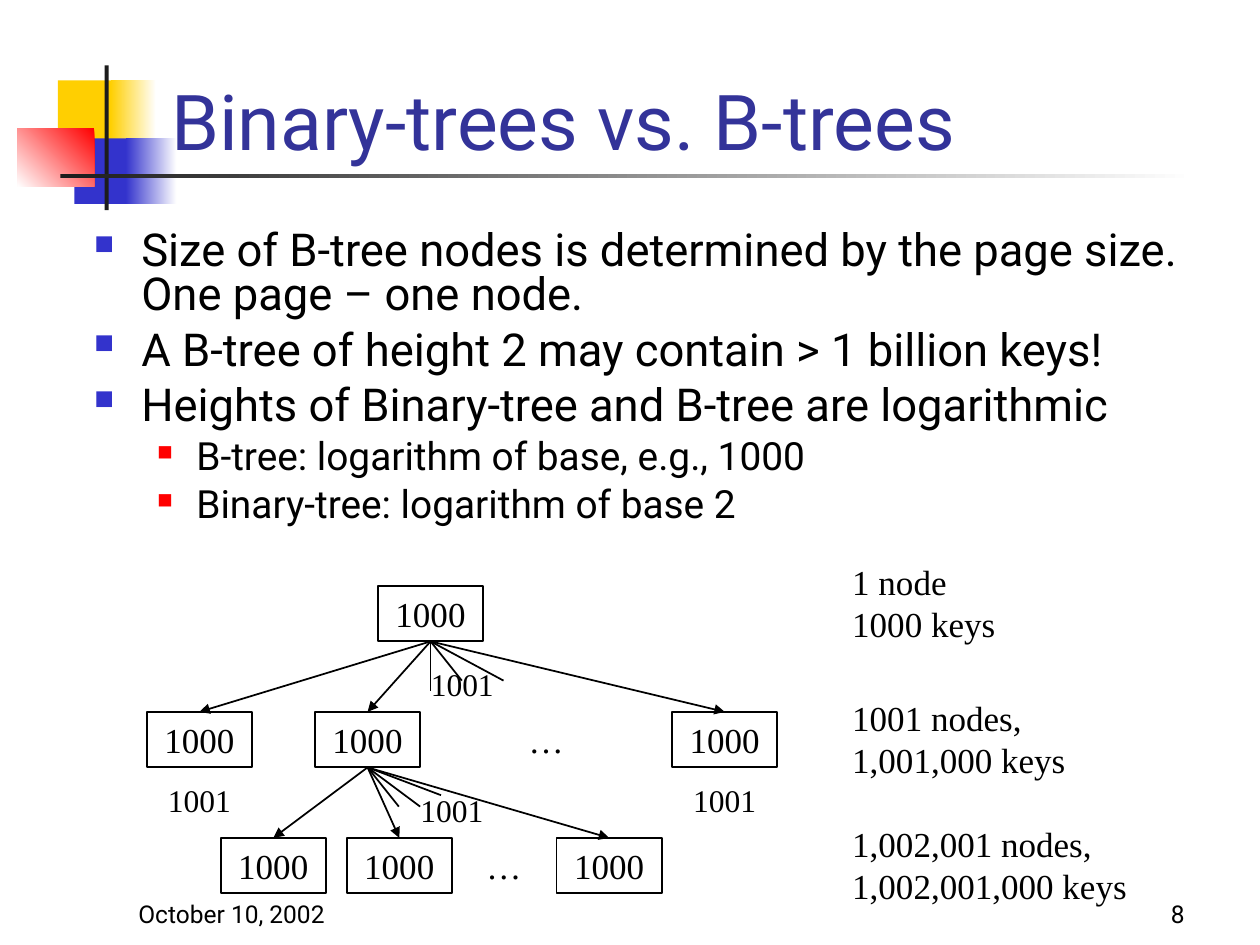
from dataclasses import dataclass

from lxml.etree import SubElement
from pptx import Presentation
from pptx.dml.color import RGBColor
from pptx.enum.shapes import MSO_CONNECTOR, MSO_SHAPE
from pptx.enum.text import MSO_ANCHOR, PP_ALIGN
from pptx.oxml.ns import qn
from pptx.util import Cm, Pt


@dataclass(frozen=True)
class Theme:
    sans: str = "Roboto"
    serif: str = "Times New Roman"
    ink: str = "000000"
    paper: str = "FFFFFF"
    title: str = "333399"
    yellow: str = "FFCF01"
    blue: str = "3333CC"
    red: str = "FF0000"
    rule: str = "1C1C1C"
    title_size: float = 44
    point_size: float = 25.9
    subpoint_size: float = 22.2
    node_size: float = 20
    fanout_size: float = 18
    footer_size: float = 14


THEME = Theme()
NODE_W, NODE_H = 2.12, 1.12
ROOT_TOP, LEVEL_STEP = 11.81, 2.54
ROOT_LEFT = 7.62
INNER_LEFTS = (2.96, 6.35, 13.55)
LEAF_LEFTS = (4.45, 6.99, 11.22)
# Ends of the short unfinished branches, relative to the parent's bottom middle
ROOT_STUBS = ((0, 0.99), (0.63, 0.79), (1.47, 0.79))
INNER_STUBS = ((0.63, 0.79), (1.06, 0.79), (1.48, 0.56))

POINTS = (
    (0, "Size of B-tree nodes is determined by the page size. One page – one node."),
    (0, "A B-tree of height 2 may contain > 1 billion keys!"),
    (0, "Heights of Binary-tree and B-tree are logarithmic"),
    (1, "B-tree: logarithm of base, e.g., 1000"),
    (1, "Binary-tree: logarithm of base 2"),
)


def rgb(color):
    return RGBColor.from_string(color)


def style(paragraph, size, font, color=THEME.ink, align=PP_ALIGN.LEFT):
    paragraph.alignment = align
    paragraph.font.size = Pt(size)
    paragraph.font.name = font
    paragraph.font.color.rgb = rgb(color)


def add_block(slide, left, top, width, height, color, fade=None):
    """Add a borderless rectangle; fade is the angle of a gradient to white."""
    block = slide.shapes.add_shape(
        MSO_SHAPE.RECTANGLE, Cm(left), Cm(top), Cm(width), Cm(height))
    block.shadow.inherit = False
    block.line.fill.background()
    if fade is None:
        block.fill.solid()
        block.fill.fore_color.rgb = rgb(color)
    else:
        block.fill.gradient()
        block.fill.gradient_angle = fade
        for stop, stop_color in zip(block.fill.gradient_stops, (color, THEME.paper)):
            stop.color.rgb = rgb(stop_color)


def add_label(slide, left, top, width, height, text, size, font=THEME.serif,
              color=THEME.ink, align=PP_ALIGN.LEFT, anchor=MSO_ANCHOR.TOP):
    label = slide.shapes.add_textbox(Cm(left), Cm(top), Cm(width), Cm(height))
    frame = label.text_frame
    frame.word_wrap = True
    frame.vertical_anchor = anchor
    frame.paragraphs[0].text = text
    style(frame.paragraphs[0], size, font, color, align)


def add_node(slide, left, top):
    node = slide.shapes.add_shape(
        MSO_SHAPE.RECTANGLE, Cm(left), Cm(top), Cm(NODE_W), Cm(NODE_H))
    node.shadow.inherit = False
    node.fill.background()
    node.line.color.rgb = rgb(THEME.ink)
    node.line.width = Pt(1)
    node.text_frame.vertical_anchor = MSO_ANCHOR.TOP
    node.text_frame.text = "1000"
    style(node.text_frame.paragraphs[0], THEME.node_size, THEME.serif,
          align=PP_ALIGN.CENTER)
    return node


def add_branch(slide, parent, end_x, end_y, child=None):
    """Draw a line from the parent's bottom, with an arrowhead if it meets a child."""
    branch = slide.shapes.add_connector(
        MSO_CONNECTOR.STRAIGHT, parent.left, parent.top, end_x, end_y)
    branch.begin_connect(parent, 2)
    branch.line.color.rgb = rgb(THEME.ink)
    branch.line.width = Pt(1)
    if child is not None:
        branch.end_connect(child, 0)
        SubElement(branch.line._get_or_add_ln(), qn("a:tailEnd"), type="triangle")
    SubElement(branch._element.spPr, qn("a:effectLst"))


def add_family(slide, parent, children, stubs):
    for child in children:
        add_branch(slide, parent, child.left, child.top, child)
    start_x = parent.left + parent.width // 2
    start_y = parent.top + parent.height
    for dx, dy in stubs:
        add_branch(slide, parent, start_x + Cm(dx), start_y + Cm(dy))


def add_tree(slide):
    inner_top, leaf_top = (ROOT_TOP + LEVEL_STEP * level for level in (1, 2))
    root = add_node(slide, ROOT_LEFT, ROOT_TOP)
    inner = [add_node(slide, left, inner_top) for left in INNER_LEFTS]
    leaves = [add_node(slide, left, leaf_top) for left in LEAF_LEFTS]
    add_family(slide, root, inner, ROOT_STUBS)
    add_family(slide, inner[1], leaves, INNER_STUBS)

    for left, top in ((9.95, inner_top), (9.1, leaf_top)):
        add_label(slide, left, top, NODE_W, NODE_H, "…", THEME.node_size,
                  align=PP_ALIGN.CENTER)
    for left, top in ((8.26, 13.28), (8.05, 15.82),
                      (INNER_LEFTS[0], 15.62), (INNER_LEFTS[-1], 15.62)):
        add_label(slide, left, top, NODE_W, 1.02, "1001", THEME.fanout_size,
                  align=PP_ALIGN.CENTER)
    for top, count in ((11.18, "1 node\v1000 keys"),
                       (13.92, "1001 nodes,\v1,001,000 keys"),
                       (16.46, "1,002,001 nodes,\v1,002,001,000 keys")):
        add_label(slide, 16.93, top, 6.56, 1.96, count, THEME.node_size)


def set_bullet(paragraph, indent, hanging, color, percent):
    properties = paragraph._p.get_or_add_pPr()
    properties.set("marL", str(Cm(indent)))
    properties.set("indent", str(-Cm(hanging)))
    bullet_color = SubElement(properties, qn("a:buClr"))
    SubElement(bullet_color, qn("a:srgbClr"), val=color)
    SubElement(properties, qn("a:buSzPct"), val=str(percent * 1000))
    SubElement(properties, qn("a:buChar"), char="■")


def add_points(slide):
    body = slide.shapes.add_textbox(Cm(1.65), Cm(4.55), Cm(23.22), Cm(7.8))
    frame = body.text_frame
    frame.word_wrap = True
    levels = ((0.95, 0.95, THEME.blue, 60, THEME.point_size, 7),
              (2.06, 0.79, THEME.red, 55, THEME.subpoint_size, 6))
    for index, (level, text) in enumerate(POINTS):
        indent, hanging, color, percent, size, gap = levels[level]
        point = frame.add_paragraph() if index else frame.paragraphs[0]
        point.text = text
        point.level = level
        set_bullet(point, indent, hanging, color, percent)
        point.line_spacing = 0.8
        point.space_before = Pt(gap)
        style(point, size, THEME.sans)


def add_ornament(slide):
    add_block(slide, 1.17, 1.62, 1.22, 1.32, THEME.yellow)
    add_block(slide, 2.23, 1.62, 0.92, 1.32, THEME.yellow, fade=0)
    add_block(slide, 1.5, 2.79, 1.17, 1.32, THEME.blue)
    add_block(slide, 2.54, 2.79, 1.02, 1.32, THEME.blue, fade=0)
    add_block(slide, 0.35, 2.59, 1.55, 1.17, THEME.red, fade=225)
    add_block(slide, 2.11, 1.32, 0.08, 2.92, THEME.rule)
    add_block(slide, 1.22, 3.51, 22.86, 0.08, THEME.rule, fade=0)


def main():
    presentation = Presentation()
    presentation.slide_width, presentation.slide_height = Cm(25.4), Cm(19.05)
    slide = presentation.slides.add_slide(presentation.slide_layouts[6])
    add_ornament(slide)
    add_label(slide, 3.2, 0.28, 21.64, 3.18, "Binary-trees vs. B-trees",
              THEME.title_size, THEME.sans, THEME.title, anchor=MSO_ANCHOR.BOTTOM)
    add_tree(slide)
    add_points(slide)
    for left, text, align in ((18.85, "8", PP_ALIGN.RIGHT),
                              (2.54, "October 10, 2002", PP_ALIGN.LEFT)):
        add_label(slide, left, 17.58, 5.28, 1.27, text, THEME.footer_size,
                  THEME.sans, align=align, anchor=MSO_ANCHOR.BOTTOM)
    presentation.save("out.pptx")


if __name__ == "__main__":
    main()
